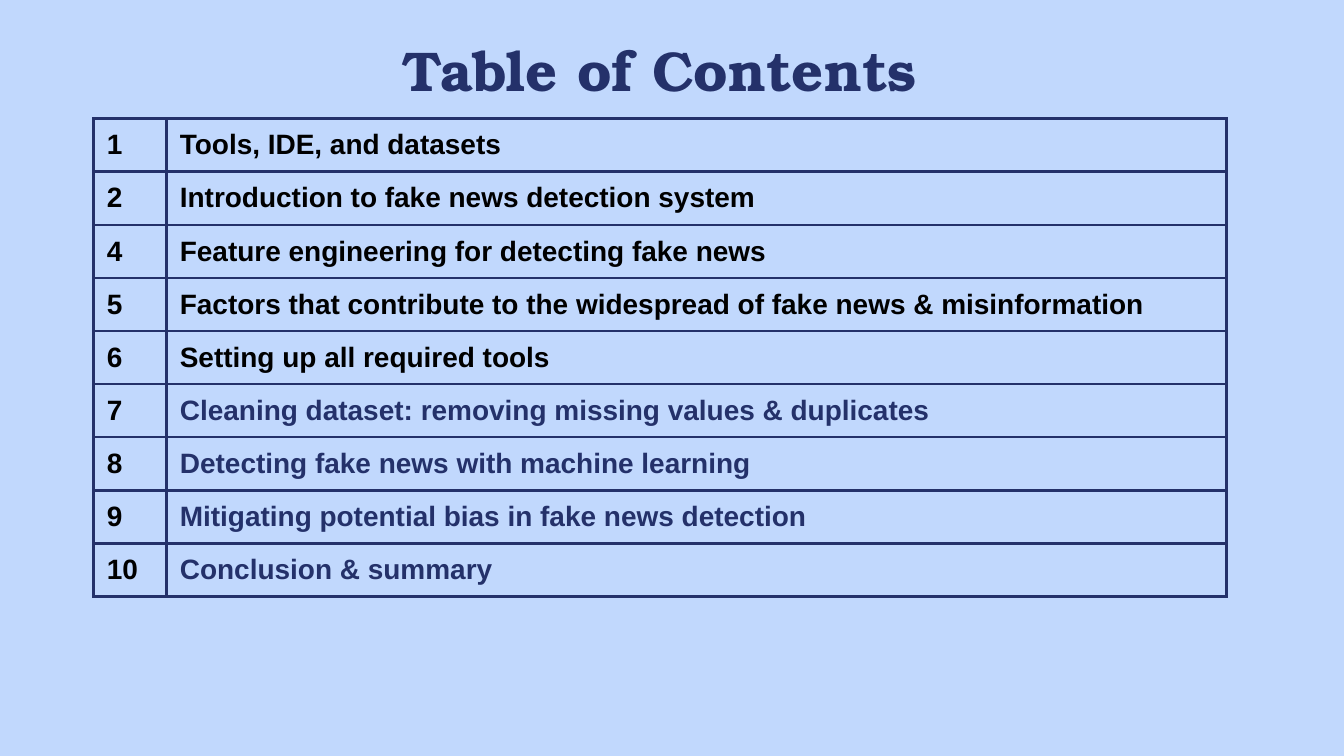
from dataclasses import dataclass

from lxml import etree
from pptx import Presentation
from pptx import util as u
from pptx.dml.color import RGBColor
from pptx.enum import text
from pptx.oxml import ns


@dataclass(frozen=True)
class Theme:
    background: str = "C1D8FD"
    navy: str = "24316A"
    black: str = "000000"
    title_font: str = "TeX Gyre Bonum"
    body_font: str = "Arial"
    title_size: float = 30
    body_size: float = 15
    border_width: float = 1.5


THEME = Theme()

# number, topic, topic colour
CONTENTS = [
    ("1", "Tools, IDE, and datasets", THEME.black),
    ("2", "Introduction to fake news detection system", THEME.black),
    ("4", "Feature engineering for detecting fake news", THEME.black),
    ("5", "Factors that contribute to the widespread of fake news & misinformation", THEME.black),
    ("6", "Setting up all required tools", THEME.black),
    ("7", "Cleaning dataset: removing missing values & duplicates", THEME.navy),
    ("8", "Detecting fake news with machine learning", THEME.navy),
    ("9", "Mitigating potential bias in fake news detection", THEME.navy),
    ("10", "Conclusion & summary", THEME.navy),
]


def format_runs(paragraph, font_name, size, color):
    for run in paragraph.runs:
        run.font.name = font_name
        run.font.size = u.Pt(size)
        run.font.bold = True
        run.font.color.rgb = RGBColor.from_string(color)


def set_background(slide):
    fill = slide.background.fill
    fill.solid()
    fill.fore_color.rgb = RGBColor.from_string(THEME.background)


def add_title(slide, wording):
    box = slide.shapes.add_textbox(u.Cm(1.75), u.Cm(0.53), u.Cm(21.44), u.Cm(1.57))
    frame = box.text_frame
    frame.word_wrap = True
    frame.vertical_anchor = text.MSO_ANCHOR.MIDDLE
    frame.margin_left = frame.margin_right = u.Cm(0.25)
    frame.margin_top = frame.margin_bottom = u.Cm(0.25)
    frame.text = wording
    paragraph = frame.paragraphs[0]
    paragraph.alignment = text.PP_ALIGN.CENTER
    format_runs(paragraph, THEME.title_font, THEME.title_size, THEME.navy)


def set_borders(cell):
    """Draw all four sides; line elements must precede the cell's fill."""
    properties = cell._tc.get_or_add_tcPr()
    for position, side in enumerate(("a:lnL", "a:lnR", "a:lnT", "a:lnB")):
        line = etree.Element(ns.qn(side), w=str(u.Pt(THEME.border_width)))
        fill = etree.SubElement(line, ns.qn("a:solidFill"))
        etree.SubElement(fill, ns.qn("a:srgbClr"), val=THEME.navy)
        properties.insert(position, line)


def fill_cell(cell, wording, color):
    cell.fill.background()
    cell.vertical_anchor = text.MSO_ANCHOR.MIDDLE
    cell.margin_left = cell.margin_right = u.Cm(0.25)
    cell.margin_top = cell.margin_bottom = 0
    cell.text_frame.text = wording
    format_runs(cell.text_frame.paragraphs[0], THEME.body_font, THEME.body_size, color)
    set_borders(cell)


def add_contents_table(slide, contents):
    widths = (u.Cm(1.38), u.Cm(20.03))
    table = slide.shapes.add_table(
        len(contents), len(widths), u.Cm(1.77), u.Cm(2.24), sum(widths), u.Cm(9.04)
    ).table
    table.first_row = False
    table.horz_banding = False
    for column, width in zip(table.columns, widths):
        column.width = width
    for row, (number, topic, color) in zip(table.rows, contents):
        number_cell, topic_cell = row.cells
        fill_cell(number_cell, number, THEME.black)
        fill_cell(topic_cell, topic, color)


def main():
    presentation = Presentation()
    presentation.slide_width = u.Cm(25.4)
    presentation.slide_height = u.Cm(14.29)
    slide = presentation.slides.add_slide(presentation.slide_layouts[6])
    set_background(slide)
    add_title(slide, "Table of Contents")
    add_contents_table(slide, CONTENTS)
    presentation.save("out.pptx")


if __name__ == "__main__":
    main()
